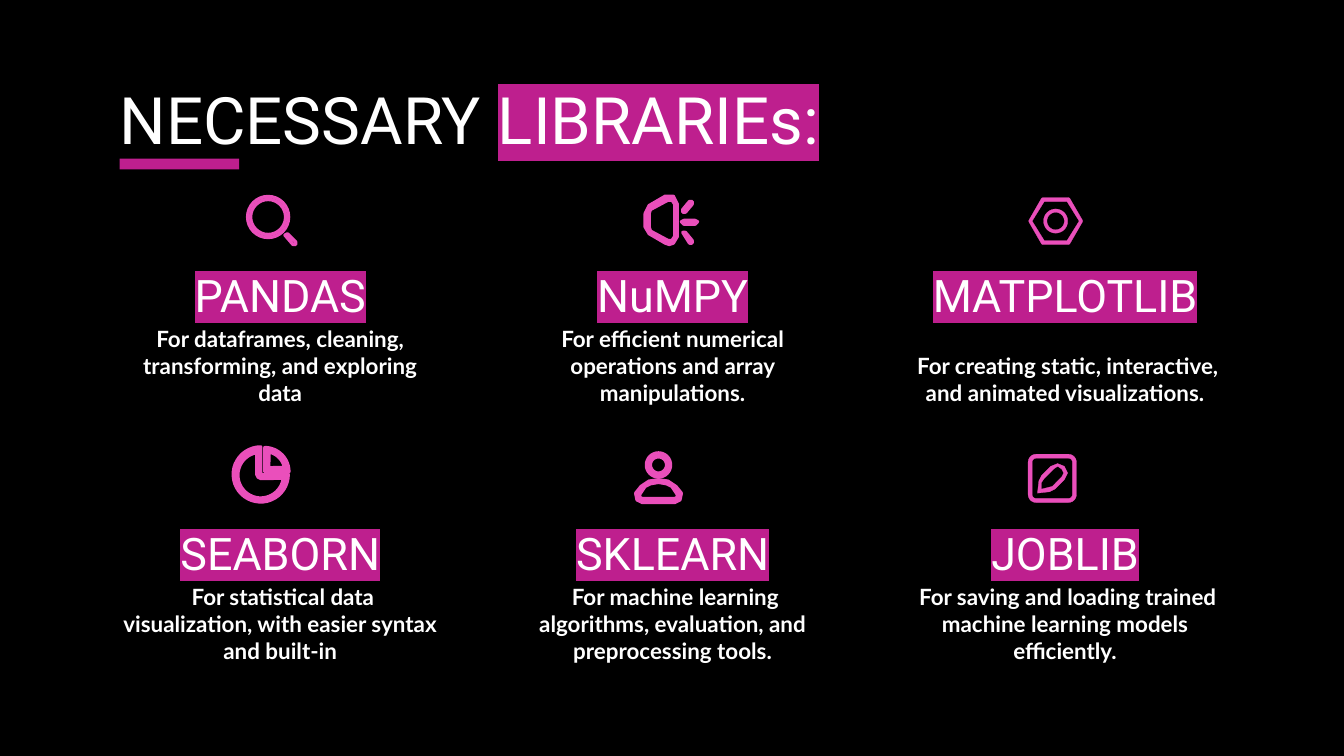
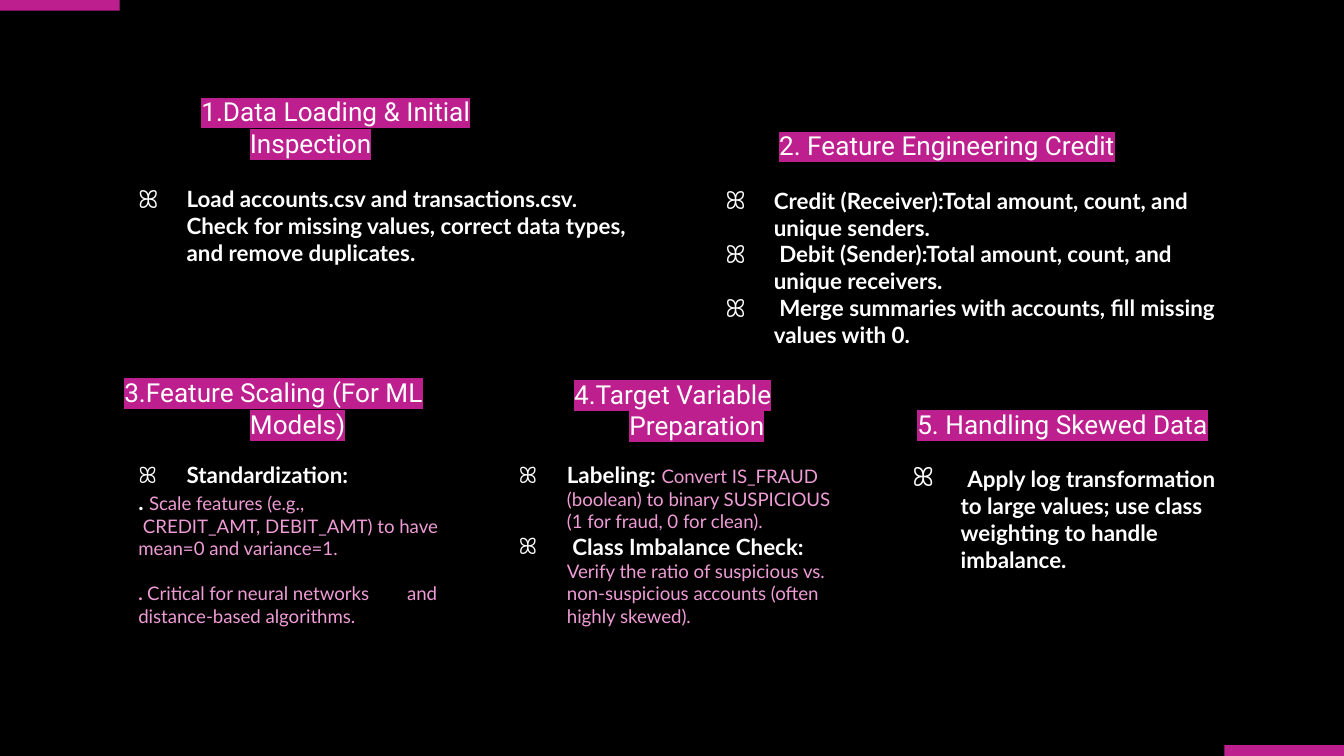
from collections import namedtuple
from math import cos, radians, sin

from lxml import etree
from pptx import Presentation
from pptx.dml.color import RGBColor
from pptx.enum.shapes import MSO_SHAPE
from pptx.enum.text import MSO_ANCHOR, MSO_AUTO_SIZE, PP_ALIGN
from pptx.oxml.ns import qn
from pptx.util import Inches, Pt

BLACK = RGBColor(0x00, 0x00, 0x00)
WHITE = RGBColor(0xFF, 0xFF, 0xFF)
MAGENTA = RGBColor(0xBE, 0x1F, 0x8E)
PINK = RGBColor(0xEA, 0x4F, 0xBB)
PLUM = RGBColor(0x82, 0x0C, 0x73)
PALE_PINK = RGBColor(0xEF, 0x9C, 0xD6)

RECTANGLE = MSO_SHAPE.RECTANGLE
TOP, BOTTOM = MSO_ANCHOR.TOP, MSO_ANCHOR.BOTTOM
LEFT, CENTER = PP_ALIGN.LEFT, PP_ALIGN.CENTER
NO_AUTOFIT = MSO_AUTO_SIZE.NONE

SLIDE_WIDTH = 10
SLIDE_HEIGHT = SLIDE_WIDTH * 9 / 16
BAR_WIDTH, BAR_HEIGHT = 0.89, 0.08
TITLE_ONLY, BLANK = 5, 6
BULLET = "ꕤ"

Style = namedtuple("Style", "size font color bold highlight", defaults=(False, None))
TITLE = Style(35, "Roboto", WHITE)
TITLE_MARKED = TITLE._replace(highlight=MAGENTA)
CARD_HEADING = Style(24, "Roboto", WHITE, highlight=MAGENTA)
STEP_HEADING = Style(14, "Roboto", WHITE, highlight=MAGENTA)
BODY = Style(12, "Lato", WHITE, True)
LEAD_SPACE = Style(14, "Lato", WHITE)
DETAIL = Style(10, "Lato", PALE_PINK)
DETAIL_DOT = DETAIL._replace(bold=True)


# Text
def add_run(paragraph, text, style):
    run = paragraph.add_run()
    run.text = text
    font = run.font
    font.size, font.name, font.bold = Pt(style.size), style.font, style.bold
    font.color.rgb = style.color
    if style.highlight:
        highlight = etree.Element(qn("a:highlight"))
        etree.SubElement(highlight, qn("a:srgbClr"), val=str(style.highlight))
        run._r.get_or_add_rPr().find(qn("a:solidFill")).addnext(highlight)


def add_runs(paragraph, runs):
    """Add (text, style) pairs; a newline in a text becomes a line break."""
    for text, style in runs:
        first, *others = text.split("\n")
        add_run(paragraph, first, style)
        for line in others:
            paragraph.add_line_break()
            add_run(paragraph, line, style)


def set_indent(paragraph, left, first):
    properties = paragraph._p.get_or_add_pPr()
    properties.set("marL", str(Inches(left)))
    properties.set("indent", str(Inches(first)))


def set_bullet(paragraph, percent):
    properties = paragraph._p.get_or_add_pPr()
    color = etree.SubElement(properties, qn("a:buClr"))
    etree.SubElement(color, qn("a:srgbClr"), val=str(WHITE))
    etree.SubElement(properties, qn("a:buSzPct"), val=str(percent * 1000))
    etree.SubElement(properties, qn("a:buFont"), typeface=BODY.font)
    etree.SubElement(properties, qn("a:buChar"), char=BULLET)


def format_frame(frame, anchor):
    frame.word_wrap = True
    frame.auto_size = NO_AUTOFIT
    frame.vertical_anchor = anchor
    frame.margin_left = frame.margin_right = Inches(0.1)
    frame.margin_top = frame.margin_bottom = Inches(0.1)


def add_text_box(slide, box, anchor):
    frame = slide.shapes.add_textbox(*map(Inches, box)).text_frame
    format_frame(frame, anchor)
    return frame


def add_line_of_text(slide, box, text, style, align=CENTER, hanging=False):
    paragraph = add_text_box(slide, box, BOTTOM).paragraphs[0]
    paragraph.alignment = align
    if hanging:
        set_indent(paragraph, 0.5, -0.36)
    add_runs(paragraph, [(text, style)])


# Shared parts
def add_bar(slide, left, top):
    bar = slide.shapes.add_shape(RECTANGLE, Inches(left), Inches(top),
                                 Inches(BAR_WIDTH), Inches(BAR_HEIGHT))
    bar.shadow.inherit = False
    bar.fill.solid()
    bar.fill.fore_color.rgb = MAGENTA
    bar.line.fill.background()


def add_title(slide, runs):
    title = slide.shapes.title
    title.left, title.top = Inches(0.79), Inches(0.49)
    title.width, title.height = Inches(8.43), Inches(0.63)
    format_frame(title.text_frame, TOP)
    paragraph = title.text_frame.paragraphs[0]
    paragraph.alignment = LEFT
    add_runs(paragraph, runs)
    add_bar(slide, 0.89, 1.18)


# Icon outlines, in hundredths of an inch from the icon's corner
def arc(x, y, radius, start=0, end=360, steps=32):
    angles = [radians(start + (end - start) * i / steps) for i in range(steps + 1)]
    return [(x + radius * cos(a), y + radius * sin(a)) for a in angles]


def rounded_square(near, far, radius):
    low, high = near + radius, far - radius
    corners = [(high, high), (low, high), (low, low), (high, low)]
    return [point for i, (x, y) in enumerate(corners)
            for point in arc(x, y, radius, 90 * i, 90 * i + 90, 6)]


MAGNIFIER = [
    arc(15.5, 15.5, 15.3), arc(15.5, 15.5, 13),
    [(28, 29), (30, 28), (36, 34), (36, 36), (34, 36)],
]
HORN = [
    [(18, 0), (21, 0), (24, 6), (24, 30), (21, 35), (18, 36), (15, 35),
     (3, 28), (0, 23), (0, 13), (3, 7), (15, 0)],
    [(18, 3), (17, 3), (4, 10), (3, 13), (3, 23), (4, 26), (17, 33),
     (20, 33), (22, 30), (22, 6), (20, 3)],
    [(28, 27), (30, 27), (35, 33), (35, 35), (33, 35)],
    [(29, 18), (37, 18), (39, 19), (37, 21), (29, 21), (27, 19)],
    [(34, 4), (35, 4), (35, 6), (30, 12), (28, 12), (28, 10), (33, 4)],
]
NUT = [
    arc(20.5, 17.5, 9), arc(20.5, 17.5, 6.5),
    [(11, 0), (30, 0), (31, 0.5), (40.5, 17), (40.5, 18), (31, 34.5),
     (30, 35), (11, 35), (10, 34.5), (0.5, 18), (0.5, 17), (10, 0.5)],
    [(12, 3), (3, 17.5), (12, 32), (29, 32), (38, 17.5), (29, 3)],
]
PIE = [
    [(20, 20), *arc(20, 20, 20.5, 0, 270)],
    [(17, 20), (18, 22), (20, 23), *arc(20, 20.5, 17, 8, 260)],
    [(23, 18), *arc(23, 18, 18, -90, 0)],
    [(26, 15), *arc(23, 18, 15, -78, -12)],
]
PERSON = [
    arc(17, 9, 9), arc(17, 9, 6),
    [(17, 20), (10, 21), (4, 25), (0, 30), (1, 35), (5, 37), (29, 37),
     (33, 35), (34, 30), (30, 25), (24, 21)],
    [(17, 22), (11, 23), (7, 25), (3, 31), (3, 33), (5, 34), (29, 34),
     (31, 33), (31, 31), (27, 25), (23, 23)],
]
PENCIL = [
    rounded_square(0, 36, 6), rounded_square(3, 33, 3),
    [(22, 7), (27, 9), (29.5, 14), (27, 19), (20, 26), (16, 28), (7, 29),
     (8, 20), (10, 16), (17, 9)],
    [(22, 9), (19, 11), (12, 18), (10, 21), (10, 26), (18, 24), (25, 17),
     (26.5, 14), (25, 11)],
]


def add_icon(slide, left, top, outlines, fill, line_width):
    builder = None
    for outline in outlines:
        points = [(Inches(left + x / 100), Inches(top + y / 100)) for x, y in outline]
        if builder is None:
            builder = slide.shapes.build_freeform(*points[0])
        else:
            builder.move_to(*points[0])
        builder.add_line_segments(points[1:], close=True)
    icon = builder.convert_to_shape()
    icon.shadow.inherit = False
    icon.fill.solid()
    icon.fill.fore_color.rgb = fill
    icon.line.color.rgb = PINK
    icon.line.width = Pt(line_width)


# Slide 1: grid of library cards
# name, purpose, icon outlines, icon offset from the card, fill, line width
LIBRARIES = [
    ("PANDAS", "For dataframes, cleaning, transforming, and exploring data",
     MAGNIFIER, (1.05, -0.4), PLUM, 1.75),
    ("NuMPY", "For efficient numerical operations and array manipulations.",
     HORN, (1.09, -0.4), PINK, 1.75),
    ("MATPLOTLIB", " For creating static, interactive, and animated visualizations.",
     NUT, (1.02, -0.39), PINK, 0.12),
    ("SEABORN", " For statistical data visualization, with easier syntax and built-in",
     PIE, (0.95, -0.45), PINK, 1.75),
    ("SKLEARN", " For machine learning algorithms, evaluation, and preprocessing tools.",
     PERSON, (1.02, -0.41), PINK, 1.75),
    ("JOBLIB", " For saving and loading trained machine learning models efficiently.",
     PENCIL, (1.02, -0.4), PINK, 0.15),
]


def add_library_card(slide, left, top, library):
    name, purpose, outlines, (icon_x, icon_y), fill, line_width = library
    add_line_of_text(slide, (left, top + 0.58, 2.59, 0.68), purpose, BODY)
    add_line_of_text(slide, (left, top, 2.59, 0.63), name, CARD_HEADING)
    add_icon(slide, left + icon_x, top + icon_y, outlines, fill, line_width)


def build_libraries_slide(presentation):
    slide = presentation.slides.add_slide(presentation.slide_layouts[TITLE_ONLY])
    add_title(slide, [("NECESSARY ", TITLE), ("LIBRARIEs:", TITLE_MARKED)])
    for index, library in enumerate(LIBRARIES):
        row, column = divmod(index, 3)
        add_library_card(slide, 0.79 + 2.92 * column, 1.86 + 1.92 * row, library)


# Slide 2: preparation steps
# heading, heading box, alignment, body box, bullet percent, paragraphs (bulleted, space before, runs)
STEPS = [
    ("1.Data Loading & Initial Inspection", (1.26, 0.93, 2.78, 0.35), LEFT,
     (0.79, 1.28, 4.06, 1.1), 110, [
         (True, 0, [("Load accounts.csv and transactions.csv. Check for missing values, "
                     "correct data types, and remove duplicates.", BODY)])]),
    ("2. Feature Engineering Credit", (5.32, 1.06, 3.31, 0.24), CENTER,
     (5.16, 1.29, 4.06, 1.38), 110, [
         (True, 0, [("Credit (Receiver):Total amount, count, and unique senders.", BODY)]),
         (True, 0, [(" Debit (Sender):Total amount, count, and unique receivers.", BODY)]),
         (True, 0, [(" Merge summaries with accounts, fill missing values with 0.", BODY)])]),
    ("3.Feature Scaling (For ML Models)", (0.54, 3.11, 2.85, 0.26), CENTER,
     (0.79, 3.33, 2.59, 1.68), 100, [
         (True, 0, [("Standardization:", BODY)]),
         (False, 0, [(". ", BODY), ("Scale features (e.g.,\n CREDIT_AMT, DEBIT_AMT) to have "
                                    "mean=0 and variance=1.", DETAIL)]),
         (False, 12, [(". ", DETAIL_DOT), ("Critical for neural networks\tand "
                                           "distance-based algorithms.", DETAIL)])]),
    ("4.Target Variable Preparation", (3.64, 3.14, 2.59, 0.24), CENTER,
     (3.62, 3.33, 2.67, 1.68), 100, [
         (True, 0, [("Labeling: ", BODY), ("Convert IS_FRAUD (boolean) to binary SUSPICIOUS "
                                           "(1 for fraud, 0 for clean).", DETAIL)]),
         (True, 0, [(" Class Imbalance Check: ", BODY),
                    ("Verify the ratio of suspicious vs. non-suspicious accounts "
                     "(often highly skewed).", DETAIL)])]),
    ("5. Handling Skewed Data", (6.54, 3.05, 2.59, 0.32), CENTER,
     (6.55, 3.33, 2.67, 1.68), 100, [
         (True, 0, [(" ", LEAD_SPACE), ("Apply log transformation to large values; use class "
                                        "weighting to handle imbalance.", BODY)])]),
]


def add_step(slide, heading, heading_box, align, body_box, bullet_percent, paragraphs):
    frame = add_text_box(slide, body_box, TOP)
    for index, (bulleted, space_before, runs) in enumerate(paragraphs):
        paragraph = frame.add_paragraph() if index else frame.paragraphs[0]
        paragraph.alignment = LEFT
        paragraph.space_before = Pt(space_before)
        if bulleted:
            set_indent(paragraph, 0.5, -0.36)
            set_bullet(paragraph, bullet_percent)
        else:
            set_indent(paragraph, 0.14, 0)
        add_runs(paragraph, runs)
    add_line_of_text(slide, heading_box, heading, STEP_HEADING, align, hanging=True)


def build_steps_slide(presentation):
    slide = presentation.slides.add_slide(presentation.slide_layouts[BLANK])
    add_bar(slide, 0, 0)
    add_bar(slide, SLIDE_WIDTH - BAR_WIDTH, SLIDE_HEIGHT - BAR_HEIGHT)
    for step in STEPS:
        add_step(slide, *step)


def main():
    presentation = Presentation()
    presentation.slide_width = Inches(SLIDE_WIDTH)
    presentation.slide_height = Inches(SLIDE_HEIGHT)
    background = presentation.slide_master.background.fill
    background.solid()
    background.fore_color.rgb = BLACK
    build_libraries_slide(presentation)
    build_steps_slide(presentation)
    presentation.save("out.pptx")


if __name__ == "__main__":
    main()
